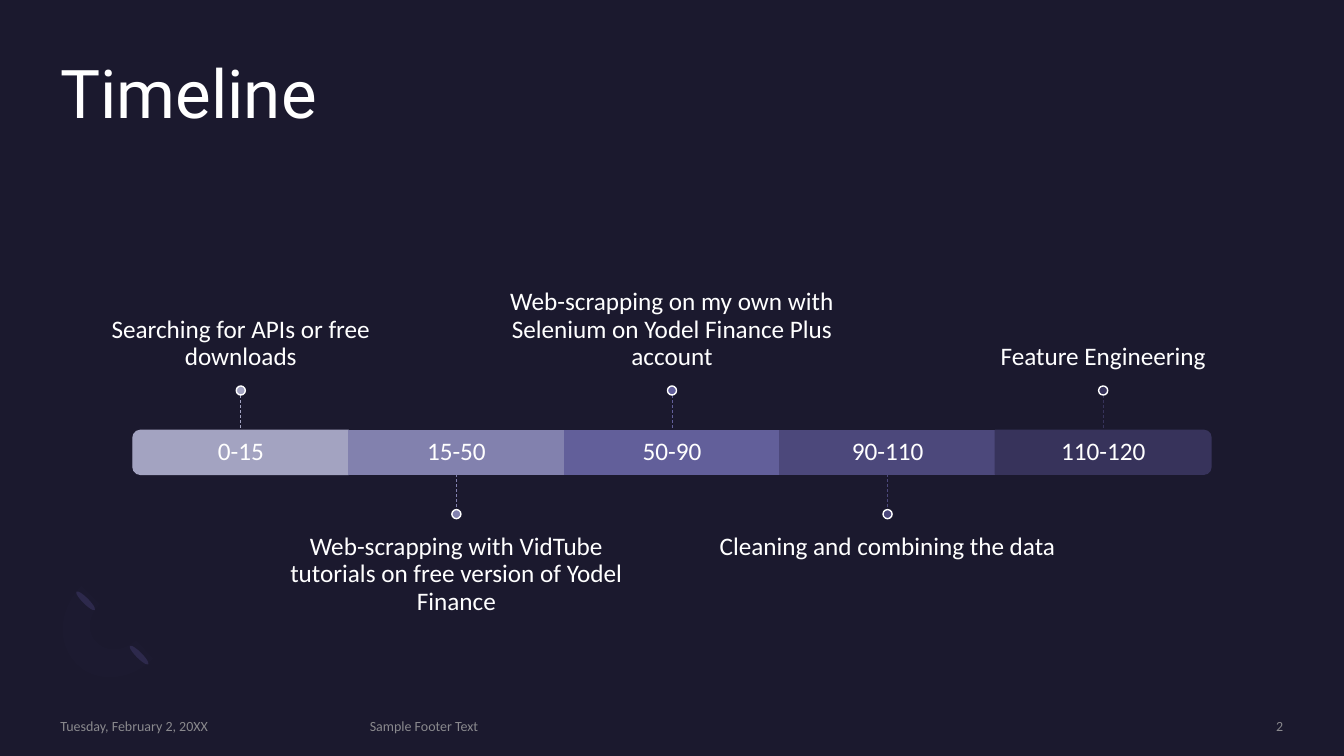
"""Builds the project timeline slide."""
import math

import pptx
import pptx.util
import pptx.dml.color
import pptx.enum.dml
import pptx.enum.shapes
import pptx.enum.text
import pptx.oxml
import pptx.oxml.ns

Pt = pptx.util.Pt
Shape = pptx.enum.shapes.MSO_SHAPE
Align = pptx.enum.text.PP_ALIGN
Anchor = pptx.enum.text.MSO_ANCHOR

COLORS = {"back": "1B192E", "white": "FFFFFF", "gray": "A6A6A6",
          "petal": "2C284A", "arc": "7771B2"}
STAGES = [
    ("0-15", "Searching for APIs or free downloads", "A3A3C1"),
    ("15-50", "Web-scrapping with VidTube tutorials on free version of Yodel Finance", "8281AE"),
    ("50-90", "Web-scrapping on my own with Selenium on Yodel Finance Plus account", "625F9A"),
    ("90-110", "Cleaning and combining the data", "4C487B"),
    ("110-120", "Feature Engineering", "37335B"),
]
FOOTER = [
    ("Tuesday, February 2, 20XX", 43.2, 207.4, Align.LEFT),
    ("Sample Footer Text", 264.2, 502.6, Align.LEFT),
    ("2", 783.4, 133.2, Align.RIGHT),
]
PETALS = [(97.2, 458.6), (59, 419.8)]
ARC_START = (54.7, 474.5)
ARC = [
    [(40.3, 460.1), (41.8, 435.6), (58.3, 419)],
    [(71.3, 432)],
    [(62.6, 439.9), (61.9, 452.9), (69.1, 459.4)],
    [(76.3, 466.6), (88.6, 465.8), (97.2, 457.9)],
    [(109.4, 470.9)],
    [(93.6, 486.7), (68.4, 488.9), (54.7, 474.5)],
]
ARC_MID = (68.8, 459.4)
MID, STEP = 480, 154
BAR_TOP, BAR_H = 307.4, 31.4
STEM, DOT = 25.2, 6.5
LABEL_W, LABEL_H = 257, 109.4


def rgb(code):
    return pptx.dml.color.RGBColor.from_string(code)


def fade(part, share):
    tint = part.find(".//" + pptx.oxml.ns.qn("a:srgbClr"))
    pptx.oxml.ns.qn("a:alpha")
    alpha = tint.makeelement(pptx.oxml.ns.qn("a:alpha"), {"val": str(share * 1000)})
    tint.append(alpha)


def paint(shape, fill, line=None):
    shape.shadow.inherit = False
    shape.fill.solid()
    shape.fill.fore_color.rgb = rgb(fill)
    if line:
        shape.line.color.rgb = rgb(line)
        shape.line.width = Pt(1)
    else:
        shape.line.fill.background()


def draw(slide, kind, box, fill, line=None, turn=0):
    shape = slide.shapes.add_shape(kind, *map(Pt, box))
    paint(shape, fill, line)
    shape.rotation = turn


def write(slide, text, box, size=18, font="Calibri", color="white",
          align=Align.CENTER, anchor=Anchor.TOP, pads=(0, 0, 0, 0), space=0.9):
    frame = slide.shapes.add_textbox(*map(Pt, box)).text_frame
    frame.word_wrap = True
    frame.vertical_anchor = anchor
    (frame.margin_left, frame.margin_top,
     frame.margin_right, frame.margin_bottom) = map(Pt, pads)
    para = frame.paragraphs[0]
    para.alignment = align
    para.line_spacing = space
    run = para.add_run()
    run.text = text
    run.font.size = Pt(size)
    run.font.name = font
    run.font.color.rgb = rgb(COLORS[color])
    return run


def link(slide, x, top, color):
    line = slide.shapes.add_connector(
        pptx.enum.shapes.MSO_CONNECTOR.STRAIGHT, Pt(x), Pt(top), Pt(x), Pt(top + STEM))
    line.line.color.rgb = rgb(color)
    line.line.width = Pt(0.5)
    line.line.dash_style = pptx.enum.dml.MSO_LINE.DASH
    props = line._element.spPr
    props.append(props.makeelement(pptx.oxml.ns.qn("a:effectLst"), {}))


def trace(start, parts, count=12):
    spots = [start]
    for part in parts:
        if len(part) == 1:
            spots += part
            continue
        ends = [spots[-1]] + part
        for step in range(1, count + 1):
            t = step / count
            rates = [math.comb(3, k) * t ** k * (1 - t) ** (3 - k) for k in range(4)]
            spots.append(tuple(sum(r * p[axis] for r, p in zip(rates, ends))
                               for axis in (0, 1)))
    return spots


def level(spot):
    dx, dy = spot[0] - ARC_MID[0], spot[1] - ARC_MID[1]
    half = math.sqrt(0.5)
    return Pt(ARC_MID[0] + (dx + dy) * half), Pt(ARC_MID[1] + (dy - dx) * half)


def decor(slide):
    for x, y in PETALS:
        draw(slide, Shape.OVAL, (x, y, 4.3, 18.7), COLORS["petal"], turn=135)
    first, *rest = map(level, trace(ARC_START, ARC))
    form = slide.shapes.build_freeform(*first)
    form.add_line_segments(rest, close=True)
    arc = form.convert_to_shape()
    paint(arc, COLORS["arc"])
    arc.rotation = 45
    fade(arc._element.spPr, 2)


def stage(slide, index, span, label, color):
    x = MID + (index - (len(STAGES) - 1) / 2) * STEP
    left, mid = x - STEP / 2, BAR_TOP + BAR_H / 2
    turn = {0: 270, len(STAGES) - 1: 90}.get(index)
    bar = (left, BAR_TOP, STEP, BAR_H)
    if turn:
        end = (x - BAR_H / 2, mid - STEP / 2, BAR_H, STEP)
        draw(slide, Shape.ROUND_2_SAME_RECTANGLE, end, color, color, turn)
    else:
        draw(slide, Shape.RECTANGLE, bar, color, color)
    write(slide, span, bar, anchor=Anchor.MIDDLE, pads=(10.8,) * 4)
    if index % 2:
        stem = BAR_TOP + BAR_H
        dot = stem + STEM
        top, anchor, pads = dot + DOT, Anchor.TOP, (0, 10.8, 0, 0)
    else:
        stem = BAR_TOP - STEM
        dot = stem - DOT
        top, anchor, pads = dot - LABEL_H, Anchor.BOTTOM, (0, 0, 0, 10.8)
    write(slide, label, (x - LABEL_W / 2, top, LABEL_W, LABEL_H), anchor=anchor, pads=pads)
    link(slide, x, stem, color)
    draw(slide, Shape.OVAL, (x - DOT / 2, dot, DOT, DOT), color, COLORS["white"])


def main():
    deck = pptx.Presentation()
    deck.slide_width, deck.slide_height = Pt(960), Pt(540)
    slide = deck.slides.add_slide(deck.slide_layouts[6])
    slide.background.fill.solid()
    slide.background.fill.fore_color.rgb = rgb(COLORS["back"])
    decor(slide)
    write(slide, "Timeline", (43.2, 43.2, 873.4, 105), 48, "Roboto", align=Align.LEFT)
    for index, item in enumerate(STAGES):
        stage(slide, index, *item)
    for text, left, width, align in FOOTER:
        run = write(slide, text, (left, 512.6, width, 12.2), 10, color="gray",
                    align=align, anchor=Anchor.MIDDLE, space=1)
        fade(run._r, 80)
    deck.save("out.pptx")


if __name__ == "__main__":
    main()
